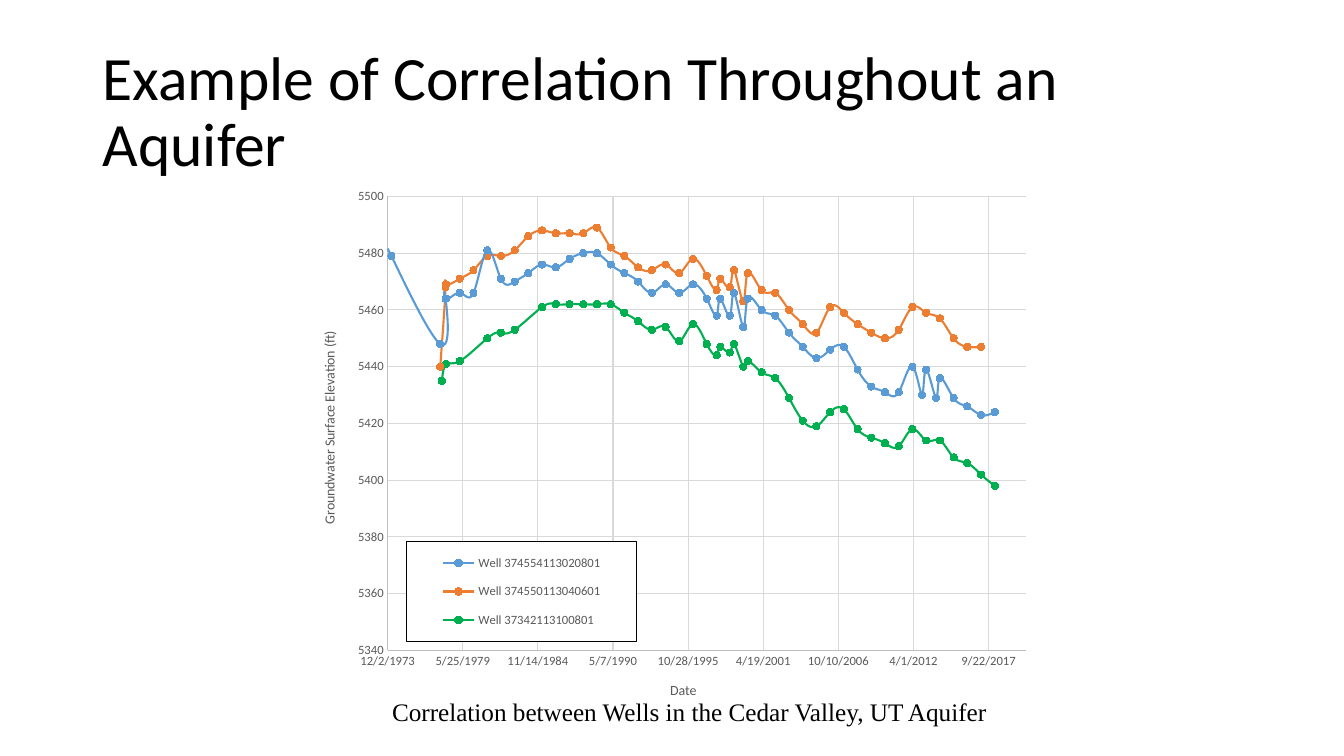
from lxml import etree
from pptx import Presentation
from pptx import util as u
from pptx.chart.data import XyChartData
from pptx.dml.color import RGBColor
from pptx.enum import chart as ch, text
from pptx.oxml.ns import qn

GRAY = "595959"
START, YEAR = 28555, 365.25
EXTRA = (35760, 36110, 36470)

BLUE = [5464, 5466, 5466, 5481, 5471, 5470, 5473, 5476, 5475, 5478, 5480,
        5480, 5476, 5473, 5470, 5466, 5469, 5466, 5469, 5464, 5464,
        5466, 5464, 5460, 5458, 5452, 5447, 5443, 5446, 5447, 5439,
        5433, 5431, 5431, 5440, 5439, 5436, 5429, 5426, 5423, 5424]
ORANGE = [5469, 5471, 5474, 5479, 5479, 5481, 5486, 5488, 5487, 5487, 5487,
          5489, 5482, 5479, 5475, 5474, 5476, 5473, 5478, 5472, 5471,
          5474, 5473, 5467, 5466, 5460, 5455, 5452, 5461, 5459, 5455,
          5452, 5450, 5453, 5461, 5459, 5457, 5450, 5447, 5447]
GREEN = [5441, 5442, None, 5450, 5452, 5453, None, 5461, 5462, 5462, 5462,
         5462, 5462, 5459, 5456, 5453, 5454, 5449, 5455, 5448, 5447,
         5448, 5442, 5438, 5436, 5429, 5421, 5419, 5424, 5425, 5418,
         5415, 5413, 5412, 5418, 5414, 5414, 5408, 5406, 5402, 5398]


def dates(yearly, dips, more):
    """Join yearly readings, the three shared extra ones and others by date."""
    vals = {round(START + k * YEAR): v for k, v in enumerate(yearly) if v}
    return sorted((vals | dict(zip(EXTRA, dips)) | more).items())


WELLS = [
    ("Well 374554113020801", "5B9BD5",
     dates(BLUE, (5458, 5458, 5454),
           {26900: 5482, 27100: 5479, 28400: 5448, 28540: 5464, 41230: 5430, 41600: 5429})),
    ("Well 374550113040601", "ED7D31",
     dates(ORANGE, (5467, 5468, 5463), {28400: 5440, 28540: 5468})),
    ("Well 37342113100801", "00B050",
     dates(GREEN, (5444, 5445, 5440), {28440: 5435})),
]


def color(code):
    """Turn a hex string into a colour."""
    return RGBColor.from_string(code)


def place(node, spot, box, inner=False):
    """Give a chart part a fixed layout in fractions of the chart."""
    for old in node.findall(qn("c:layout")):
        node.remove(old)
    lay = etree.Element(qn("c:layout"))
    man = etree.SubElement(lay, qn("c:manualLayout"))
    pairs = [("layoutTarget", "inner")] if inner else []
    pairs += [("xMode", "edge"), ("yMode", "edge"), *zip("xywh", box)]
    for tag, val in pairs:
        etree.SubElement(man, qn("c:" + tag)).set("val", str(val))
    node.insert(spot, lay)


class Deck:
    """Hold the font and the current slide."""

    def __init__(self, font):
        """Open a wide deck with one blank slide."""
        self.font = font
        self.prs = Presentation()
        self.prs.slide_width = u.Inches(13.33)
        self.prs.slide_height = u.Inches(7.5)
        self.slide = self.prs.slides.add_slide(self.prs.slide_layouts[6])

    def style(self, font, size, code, name=None):
        """Set face, size and colour of a font."""
        font.name = name or self.font
        font.size = u.Pt(size)
        font.bold = False
        font.color.rgb = color(code)

    def line(self, line, code, width=0.75):
        """Set colour and width of a line."""
        line.color.rgb = color(code)
        line.width = u.Pt(width)

    def label(self, box, words, size, name=None, wrap=True, space=1.0):
        """Add a text box with one run."""
        frame = self.slide.shapes.add_textbox(*map(u.Inches, box)).text_frame
        frame.word_wrap = wrap
        frame.vertical_anchor = text.MSO_ANCHOR.MIDDLE
        para = frame.paragraphs[0]
        para.line_spacing = space
        run = para.add_run()
        run.text = words
        self.style(run.font, size, "000000", name)

    def axis(self, axis, words, spot, low, high, step, form, turn="0"):
        """Style one axis with its title, scale and grid."""
        axis.minimum_scale, axis.maximum_scale = low, high
        axis.major_unit = step
        axis.has_major_gridlines = True
        self.line(axis.major_gridlines.format.line, "D9D9D9")
        self.line(axis.format.line, "BFBFBF")
        axis.major_tick_mark = axis.minor_tick_mark = ch.XL_TICK_MARK.NONE
        ticks = axis.tick_labels
        ticks.number_format, ticks.number_format_is_linked = form, False
        self.style(ticks.font, 9, GRAY)
        title = axis.axis_title
        run = title.text_frame.paragraphs[0].add_run()
        run.text = words
        self.style(run.font, 10, GRAY)
        node = title._element
        node.find(".//" + qn("a:bodyPr")).set("rot", turn)
        place(node, 1, spot)

    def legend(self, chart, box):
        """Add a framed legend over the plot."""
        chart.has_legend = True
        key = chart.legend
        key.position = ch.XL_LEGEND_POSITION.RIGHT
        key.include_in_layout = True
        self.style(key.font, 9, GRAY)
        node = key._element
        place(node, 1, box)
        look = etree.Element(qn("c:spPr"))
        fill = etree.SubElement(look, qn("a:solidFill"))
        etree.SubElement(fill, qn("a:srgbClr")).set("val", "FFFFFF")
        edge = etree.SubElement(look, qn("a:ln"), w=str(u.Pt(0.75)))
        fill = etree.SubElement(edge, qn("a:solidFill"))
        etree.SubElement(fill, qn("a:srgbClr")).set("val", "000000")
        node.find(qn("c:overlay")).addnext(look)

    def chart(self, box, wells):
        """Add the smooth scatter chart of all wells."""
        data = XyChartData()
        for name, _, points in wells:
            row = data.add_series(name)
            for day, level in points:
                row.add_data_point(day, level)
        kind = ch.XL_CHART_TYPE.XY_SCATTER_SMOOTH
        chart = self.slide.shapes.add_chart(kind, *map(u.Inches, box), data).chart
        chart.has_title = False
        self.style(chart.font, 10, "000000")
        plot = chart.plots[0]
        plot.vary_by_categories = False
        for row, (_, code, _) in zip(plot.series, wells):
            self.line(row.format.line, code, 1.5)
            row._element.get_or_add_smooth().val = True
            mark = row.marker
            mark.style, mark.size = ch.XL_MARKER_STYLE.CIRCLE, 5
            mark.format.fill.solid()
            mark.format.fill.fore_color.rgb = color(code)
            self.line(mark.format.line, code)
        self.axis(chart.category_axis, "Date", (0.48, 0.935),
                  27000, 44000, 2000, "m/d/yyyy")
        self.axis(chart.value_axis, "Groundwater Surface Elevation (ft)",
                  (0.025, 0.27), 5340, 5500, 20, "0", "-5400000")
        self.legend(chart, (0.14, 0.675, 0.3, 0.19))
        area = chart._chartSpace.find(".//" + qn("c:plotArea"))
        place(area, 0, (0.116, 0.019, 0.83, 0.863), True)


def main():
    """Build and save the slide."""
    deck = Deck("Calibri")
    deck.label((0.92, 0.4, 11.58, 1.45),
               "Example of Correlation Throughout an Aquifer", 44, space=0.9)
    deck.chart((2.96, 1.85, 7.63, 5.22), WELLS)
    deck.label((3.79, 6.86, 6.16, 0.4),
               "Correlation between Wells in the Cedar Valley, UT Aquifer",
               18, "Times New Roman", wrap=False)
    deck.prs.save("out.pptx")


if __name__ == "__main__":
    main()
